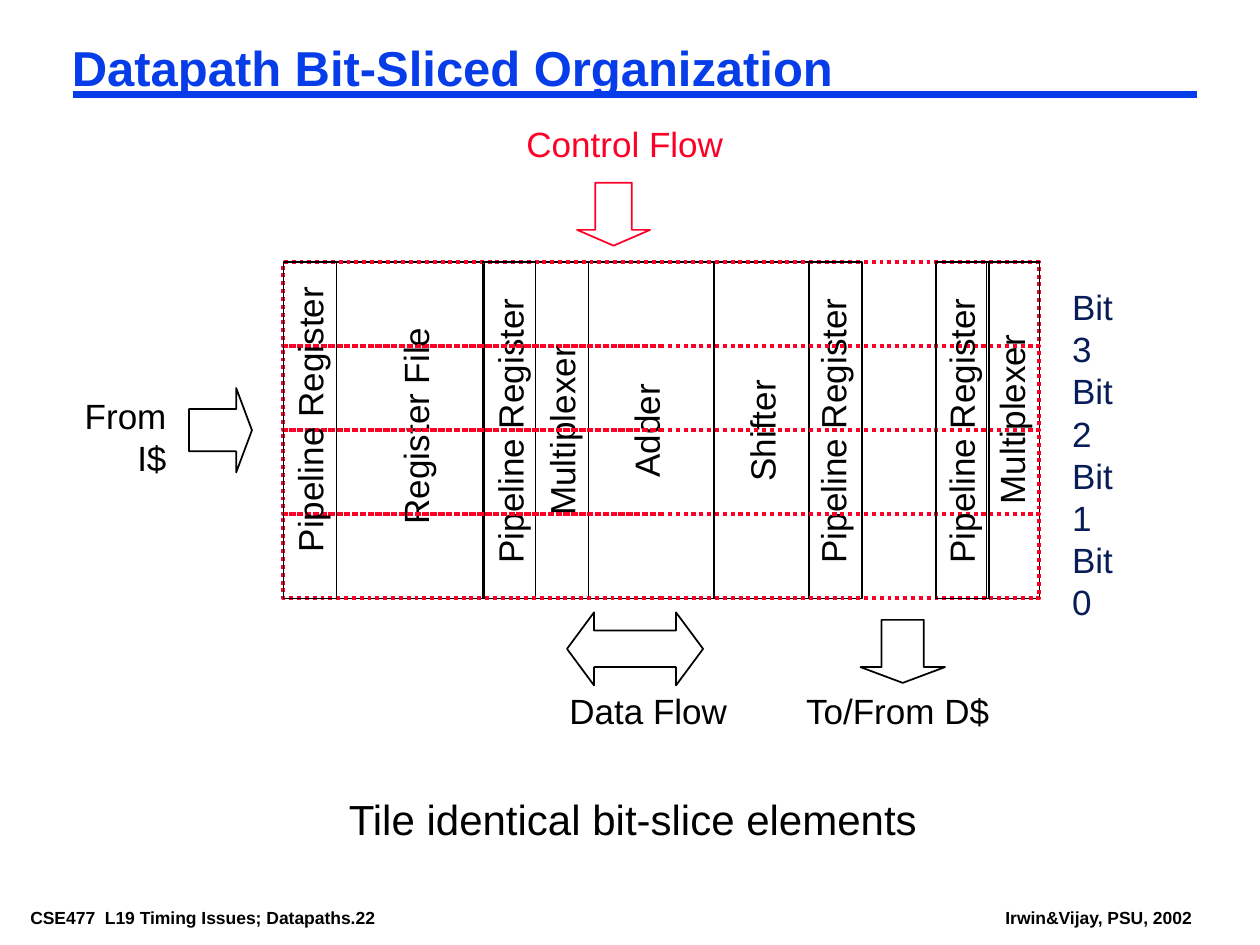
from lxml.etree import SubElement
from pptx import Presentation
from pptx.dml.color import RGBColor
from pptx.enum.dml import MSO_LINE
from pptx.enum.shapes import MSO_CONNECTOR, MSO_SHAPE
from pptx.enum.text import MSO_AUTO_SIZE, PP_ALIGN
from pptx.oxml.ns import qn
from pptx.util import Inches, Pt

BLUE = RGBColor(0x06, 0x3D, 0xE8)
RED = RGBColor(0xFC, 0x01, 0x28)
NAVY = RGBColor(0x08, 0x1D, 0x58)
BLACK = RGBColor(0, 0, 0)

# Datapath grid
GRID_LEFT, GRID_TOP, GRID_WIDTH, GRID_HEIGHT = 2.25, 2.08, 6, 2.67
BITS = ["Bit 3", "Bit 2", "Bit 1", "Bit 0"]
SLICE = GRID_HEIGHT / len(BITS)
LABEL_HEIGHT = 0.44

# Functional units (left, width), grouped by layer
BACK_UNITS = [(2.67, 1.17), (4.25, 0.42), (4.67, 1), (5.67, 0.75)]
MIDDLE_UNITS = [(3.83, 0.42), (6.42, 0.42), (7.83, 0.42)]
FRONT_UNITS = [(2.25, 0.42), (7.43, 0.42)]

# Unit names (text, centre x, centre y), under and over the slice outlines
UNDER_NAMES = [
    ("Register File", 3.3, 3.38),
    ("Pipeline Register", 4.05, 3.42),
    ("Adder", 5.13, 3.42),
    ("Shifter", 6.05, 3.42),
    ("Pipeline Register", 6.61, 3.42),
    ("Multiplexer", 4.46, 3.42),
    ("Multiplexer", 8.03, 3.33),
]
OVER_NAMES = [("Pipeline Register", 2.46, 3.33), ("Pipeline Register", 7.63, 3.42)]

# Arrows: shape, left, top, width, height, adjustments, colour
ARROWS = [
    (MSO_SHAPE.DOWN_ARROW, 4.58, 1.45, 0.58, 0.5, (0.5, 0.25), RED),
    (MSO_SHAPE.LEFT_RIGHT_ARROW, 4.5, 4.86, 1.08, 0.58, (0.5, 0.37), BLACK),
    (MSO_SHAPE.RIGHT_ARROW, 1.5, 3.08, 0.5, 0.67, (0.5, 0.25), BLACK),
    (MSO_SHAPE.DOWN_ARROW, 6.83, 4.92, 0.67, 0.5, (0.5, 0.25), BLACK),
]

# Captions: text, left, top, width, height, size, colour, alignment, wrap
CAPTIONS = [
    ("Control Flow", 4.08, 0.92, 1.76, 0.44, 20, RED, PP_ALIGN.LEFT, False),
    ("Data Flow", 4.42, 5.42, 1.45, 0.44, 20, BLACK, PP_ALIGN.LEFT, False),
    ("To/From D$", 6.25, 5.42, 1.75, 0.44, 20, BLACK, PP_ALIGN.CENTER, True),
    ("From I$", 0.42, 3.08, 1, 0.77, 20, BLACK, PP_ALIGN.RIGHT, True),
    ("Tile identical bit-slice elements", 2.67, 6.25, 4.72, 0.5, 24, BLACK,
     PP_ALIGN.LEFT, False),
]
FOOTERS = [
    ("CSE477  L19 Timing Issues; Datapaths.22", 0.17, 3.39),
    ("Irwin&Vijay, PSU, 2002", 7.91, 1.63),
]

deck = Presentation()
deck.slide_width, deck.slide_height = Inches(10), Inches(7.5)
page = deck.slides.add_slide(deck.slide_layouts[6])


def add_text(text, left, top, width, height, size=20, colour=BLACK,
             align=PP_ALIGN.LEFT, wrap=False, bold=False, inset=(0.1, 0.05)):
    box = page.shapes.add_textbox(Inches(left), Inches(top), Inches(width), Inches(height))
    frame = box.text_frame
    frame.word_wrap = wrap
    frame.auto_size = MSO_AUTO_SIZE.SHAPE_TO_FIT_TEXT
    frame.margin_left = frame.margin_right = Inches(inset[0])
    frame.margin_top = frame.margin_bottom = Inches(inset[1])
    para = frame.paragraphs[0]
    para.alignment = align
    span = para.add_run()
    span.text = text
    span.font.name, span.font.size, span.font.bold = "Arial", Pt(size), bold
    span.font.color.rgb = colour
    return box


def add_outline(kind, left, top, width, height, colour=BLACK, weight=1):
    shape = page.shapes.add_shape(kind, Inches(left), Inches(top), Inches(width), Inches(height))
    shape.shadow.inherit = False
    shape.fill.background()
    shape.line.color.rgb = colour
    shape.line.width = Pt(weight)
    return shape


def add_units(units):
    for left, width in units:
        add_outline(MSO_SHAPE.RECTANGLE, left, GRID_TOP, width, GRID_HEIGHT)


def add_slice(row):
    outline = add_outline(MSO_SHAPE.RECTANGLE, GRID_LEFT, GRID_TOP + row * SLICE,
                          GRID_WIDTH, SLICE, RED, 2.25)
    outline.line.dash_style = MSO_LINE.ROUND_DOT


def add_names(names):
    for text, centre_x, centre_y in names:
        box = add_text(text, centre_x - GRID_HEIGHT / 2, centre_y - LABEL_HEIGHT / 2,
                       GRID_HEIGHT, LABEL_HEIGHT, align=PP_ALIGN.CENTER, wrap=True)
        box.rotation = 270


# Footers, title and rule
for text, left, width in FOOTERS:
    add_text(text, left, 7.17, width, 0.22, 10, bold=True, inset=(0.07, 0.03))
rule = page.shapes.add_connector(MSO_CONNECTOR.STRAIGHT, Inches(0.58), Inches(0.75),
                                 Inches(9.5), Inches(0.75))
rule.line.color.rgb = BLUE
rule.line.width = Pt(4.5)
SubElement(rule.element.spPr, qn("a:effectLst"))
title = add_text("Datapath Bit-Sliced Organization", 0.5, 0.33, 8.92, 0.46, 28, BLUE,
                 wrap=True, bold=True, inset=(0.07, 0.03))
title.text_frame.paragraphs[0].line_spacing = 0.87

# Datapath, from back to front
add_units(BACK_UNITS)
add_slice(0)
add_units(MIDDLE_UNITS)
add_names(UNDER_NAMES)
for row in range(1, len(BITS)):
    add_slice(row)
add_units(FRONT_UNITS)
add_names(OVER_NAMES)

# Bit labels beside their slices
for row, bit in enumerate(BITS):
    add_text(bit, 8.41, GRID_TOP + 0.14 + row * SLICE, 0.75, LABEL_HEIGHT, colour=NAVY)

# Flow arrows and captions
for kind, left, top, width, height, adjustments, colour in ARROWS:
    arrow = add_outline(kind, left, top, width, height, colour)
    for index, value in enumerate(adjustments):
        arrow.adjustments[index] = value
for caption in CAPTIONS:
    add_text(*caption)

deck.save("out.pptx")
